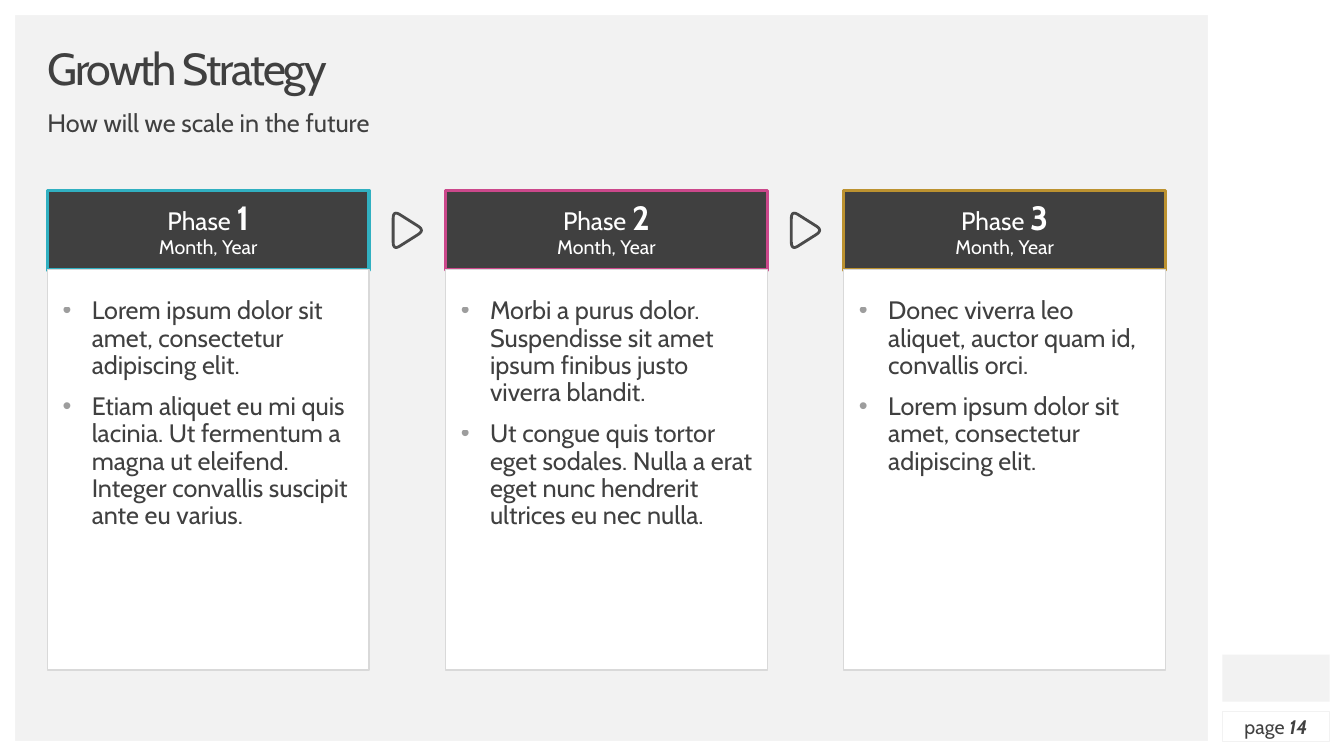
"""Build the Growth Strategy slide with three phase cards."""
from dataclasses import dataclass, field
from typing import Any

from lxml import etree
from pptx import Presentation
from pptx.dml.color import RGBColor
from pptx.enum.shapes import MSO_SHAPE
from pptx.enum.text import MSO_ANCHOR, MSO_AUTO_SIZE, PP_ALIGN
from pptx.oxml.ns import qn
from pptx.util import Inches, Pt

RECTANGLE = MSO_SHAPE.RECTANGLE
TOP, MIDDLE = MSO_ANCHOR.TOP, MSO_ANCHOR.MIDDLE
LEFT, CENTER = PP_ALIGN.LEFT, PP_ALIGN.CENTER
NO_FIT = MSO_AUTO_SIZE.NONE

WIDTH, HEIGHT = Inches(13.333), Inches(7.5)
FONT = "Cabin"
DARK, WHITE, PALE = "404040", "FFFFFF", "F2F2F2"
COMPARISON_LAYOUT = 4
SUBTITLE_SLOT = 3


@dataclass(frozen=True)
class Area:
    """Place of a box in percent of the slide's width and height."""
    left: float
    top: float
    width: float
    height: float

    def shifted(self, step: int) -> "Area":
        """Move the area right by whole card columns."""
        return Area(self.left + step * COLUMN_PITCH, self.top, self.width, self.height)

    def lengths(self) -> tuple[int, int, int, int]:
        """Give left, top, width and height as slide lengths."""
        return (round(WIDTH * self.left / 100), round(HEIGHT * self.top / 100),
                round(WIDTH * self.width / 100), round(HEIGHT * self.height / 100))


@dataclass(frozen=True)
class Words:
    """A run of text with its format; ends_line adds a line break."""
    text: str
    size: float
    color: str = DARK
    bold: bool = False
    italic: bool = False
    spacing: float = 0
    ends_line: bool = False


@dataclass(frozen=True)
class Layout:
    """Paragraph and frame format of a box."""
    anchor: Any = TOP
    align: Any = LEFT
    line_spacing: float = 0.9
    insets: tuple[float, float, float, float] = (0, 0, 0, 0)
    bulleted: bool = False


@dataclass(frozen=True)
class Phase:
    """One phase card: number, accent colour, list slot and points."""
    number: str
    accent: str
    slot: int
    points: list[str] = field(default_factory=list)


COLUMN_PITCH = 29.63
TITLE = Area(3.53, 6.27, 83.18, 6.27)
SUBTITLE = Area(3.53, 14.67, 83.18, 3.73)
HEADER = Area(3.53, 25.2, 23.93, 10.53)
BODY = Area(3.53, 35.7, 23.93, 52.93)
ARROW = Area(29.25, 28.4, 2.1, 4.13)
BRAND_BLOCK = Area(90.95, 86.6, 7.98, 6.2)
PAGE_NUMBER = Area(90.95, 94.13, 7.98, 3.87)
BANDS = [Area(0, 0, 100, 2), Area(0, 0, 1.13, 100),
         Area(89.88, 0, 10.12, 100), Area(0, 98, 100, 2)]

ARROW_CORNERS = [(0, -0.14), (1.12, 0.5), (0, 1.14)]
CORNER_SHARE, CORNER_STEPS = 0.21, 8

HEADER_LAYOUT = Layout(MIDDLE, CENTER, insets=(0.12, 0.04, 0.12, 0.04))
LIST_LAYOUT = Layout(insets=(0.15, 0.28, 0.15, 0), bulleted=True)

PHASES = [
    Phase("1", "31B0C1", 1, [
        "Lorem ipsum dolor sit amet, consectetur adipiscing elit.",
        "Etiam aliquet eu mi quis lacinia. Ut fermentum a magna ut eleifend. "
        "Integer convallis suscipit ante eu varius."]),
    Phase("2", "CB488B", 2, [
        "Morbi a purus dolor. Suspendisse sit amet ipsum finibus justo viverra blandit.",
        "Ut congue quis tortor eget sodales. Nulla a erat eget nunc hendrerit "
        "ultrices eu nec nulla."]),
    Phase("3", "BC9230", 4, [
        "Donec viverra leo aliquet, auctor quam id, convallis orci.",
        "Lorem ipsum dolor sit amet, consectetur adipiscing elit."]),
]


def paint(target: Any, color: str) -> None:
    """Give a fill format a solid hex colour."""
    target.solid()
    target.fore_color.rgb = RGBColor.from_string(color)


def apply(target: Any, values: dict[str, Any]) -> None:
    """Set attributes from a dict of format values."""
    for name, value in values.items():
        setattr(target, name, value)


def outline(box: Any, color: str, points: float) -> None:
    """Give a box a solid line."""
    paint(box.line.fill, color)
    box.line.width = Pt(points)


def place(box: Any, area: Area) -> None:
    """Move a placeholder to its area."""
    apply(box, dict(zip(("left", "top", "width", "height"), area.lengths())))


def add_bullet(para: Any) -> None:
    """Give a paragraph a hanging, half-transparent bullet."""
    properties = para._p.get_or_add_pPr()
    properties.set("marL", str(Inches(0.29)))
    properties.set("indent", str(-Inches(0.29)))
    color = etree.SubElement(properties, qn("a:buClr"))
    shade = etree.SubElement(color, qn("a:srgbClr"), val=DARK)
    etree.SubElement(shade, qn("a:alpha"), val="50000")
    etree.SubElement(properties, qn("a:buChar"), char="•")


def write(box: Any, paragraphs: list[list[Words]], layout: Layout) -> None:
    """Write formatted paragraphs into a box."""
    frame = box.text_frame
    sides = ("margin_left", "margin_top", "margin_right", "margin_bottom")
    apply(frame, {"word_wrap": True, "auto_size": NO_FIT, "vertical_anchor": layout.anchor})
    apply(frame, dict(zip(sides, map(Inches, layout.insets))))
    for index, runs in enumerate(paragraphs):
        para = frame.add_paragraph() if index else frame.paragraphs[0]
        if layout.bulleted:
            add_bullet(para)
        apply(para, {"alignment": layout.align, "line_spacing": layout.line_spacing,
                     "space_before": Pt(10 if index else 0), "space_after": Pt(0)})
        for words in runs:
            span = para.add_run()
            span.text = words.text
            apply(span.font, {"name": FONT, "size": Pt(words.size),
                              "bold": words.bold, "italic": words.italic})
            paint(span.font.fill, words.color)
            if words.spacing:
                span._r.get_or_add_rPr().set("spc", str(round(words.spacing * 100)))
            if words.ends_line:
                para.add_line_break()


def add_box(page: Any, area: Area, fill: str | None = None) -> Any:
    """Add a plain rectangle without line or shadow."""
    box = page.shapes.add_shape(RECTANGLE, *area.lengths())
    box.shadow.inherit = False
    box.line.fill.background()
    if fill:
        paint(box.fill, fill)
    else:
        box.fill.background()
    return box


def add_arrow(page: Any, area: Area) -> None:
    """Draw a triangle with rounded corners pointing right."""
    left, top, width, height = area.lengths()
    points = []
    for index, corner in enumerate(ARROW_CORNERS):
        before, after = ARROW_CORNERS[index - 1], ARROW_CORNERS[(index + 1) % 3]
        for step in range(CORNER_STEPS + 1):
            share = step / CORNER_STEPS
            pull_back, pull_on = CORNER_SHARE * (1 - share) ** 2, CORNER_SHARE * share ** 2
            x, y = (c + pull_back * (b - c) + pull_on * (a - c)
                    for b, c, a in zip(before, corner, after))
            points.append((round(left + x * width), round(top + y * height)))
    builder = page.shapes.build_freeform(*points[0])
    builder.add_line_segments(points[1:], close=True)
    arrow = builder.convert_to_shape()
    arrow.shadow.inherit = False
    arrow.fill.background()
    outline(arrow, "4B4B4B", 2)


def add_phase(page: Any, phase: Phase, column: int) -> None:
    """Add the header and the list of one phase."""
    header = add_box(page, HEADER.shifted(column), DARK)
    outline(header, phase.accent, 2.25)
    write(header, [[Words("Phase ", 18, WHITE),
                    Words(phase.number, 24, WHITE, bold=True, ends_line=True),
                    Words("Month, Year", 14, WHITE)]], HEADER_LAYOUT)
    body = page.placeholders[phase.slot]
    place(body, BODY.shifted(column))
    paint(body.fill, WHITE)
    outline(body, "D9D9D9", 0.75)
    write(body, [[Words(point, 18)] for point in phase.points], LIST_LAYOUT)
    header.element.addnext(body.element)


def main() -> None:
    """Build and save the deck."""
    deck = Presentation()
    apply(deck, {"slide_width": WIDTH, "slide_height": HEIGHT})
    page = deck.slides.add_slide(deck.slide_layouts[COMPARISON_LAYOUT])
    paint(page.background.fill, PALE)
    for band in BANDS:
        add_box(page, band, WHITE)
    title, subtitle = page.shapes.title, page.placeholders[SUBTITLE_SLOT]
    place(title, TITLE)
    write(title, [[Words("Growth Strategy", 32, spacing=-1.5)]], Layout(MIDDLE))
    place(subtitle, SUBTITLE)
    write(subtitle, [[Words("How will we scale in the future", 18)]], Layout())
    for column, phase in enumerate(PHASES):
        add_phase(page, phase, column)
    for column in range(len(PHASES) - 1):
        add_arrow(page, ARROW.shifted(column))
    add_box(page, BRAND_BLOCK, PALE)
    number = add_box(page, PAGE_NUMBER)
    outline(number, PALE, 0.25)
    write(number, [[Words("page ", 14), Words("14", 14, bold=True, italic=True)]],
          Layout(MIDDLE, CENTER, 1.0))
    deck.save("out.pptx")


if __name__ == "__main__":
    main()
